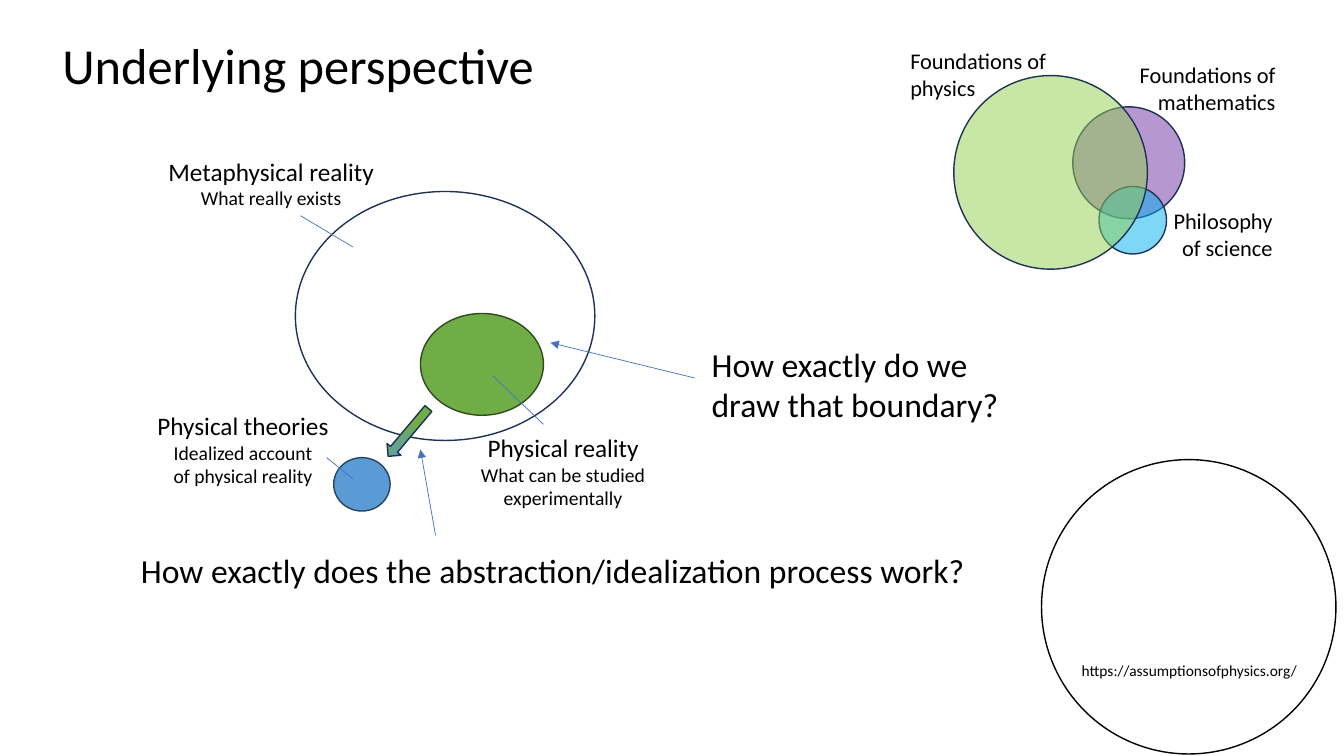
from dataclasses import dataclass

from lxml import etree
from pptx import Presentation
from pptx import util as u
from pptx.dml.color import RGBColor
from pptx.enum import shapes, text
from pptx.oxml.ns import qn


@dataclass(frozen=True)
class Theme:
    """Font, type sizes, line widths and colours of the slide."""
    font: str = "Calibri"
    title: int = 36
    question: int = 24
    heading: int = 18
    field: int = 16
    detail: int = 14
    address: int = 11
    outline: float = 1
    pointer: float = 0.5
    black: str = "000000"
    navy: str = "1E3256"
    accent: str = "4472C4"
    green: str = "70AD47"
    dark_green: str = "314C1F"
    blue: str = "5B9BD5"
    dark_blue: str = "28445D"
    purple: str = "7030A0"
    cyan: str = "00B0F0"
    lime: str = "92D050"


THEME = Theme()
WIDTH, HEIGHT = u.Inches(13.33), u.Inches(7.5)
ROWS = 75
LEFT, CENTER, RIGHT = text.PP_ALIGN.LEFT, text.PP_ALIGN.CENTER, text.PP_ALIGN.RIGHT


def grid(*cells):
    """Turn counts of square grid cells into lengths."""
    return [u.Emu(round(cell * HEIGHT / ROWS)) for cell in cells]


def color(name):
    """Look up a theme colour by name."""
    return RGBColor.from_string(getattr(THEME, name))


def add_outlined(parent, kind, box, line):
    """Add a preset shape without shadow or fill."""
    shape = parent.add_shape(kind, *grid(*box))
    shape.shadow.inherit = False
    shape.fill.background()
    shape.line.color.rgb = color(line)
    shape.line.width = u.Pt(THEME.outline)
    return shape


def add_ellipse(parent, box, line="navy", fill=None, opacity=100):
    """Add an ellipse, filled if a colour is given."""
    shape = add_outlined(parent, shapes.MSO_SHAPE.OVAL, box, line)
    if fill:
        shape.fill.solid()
        shape.fill.fore_color.rgb = color(fill)
    if opacity < 100:
        fill_color = shape.element.spPr.find(qn("a:solidFill"))[0]
        etree.SubElement(fill_color, qn("a:alpha"), val=str(opacity * 1000))


def add_abstraction_arrow(parent, box, rotation):
    """Add the block arrow that fades from physical reality to theory."""
    shape = add_outlined(parent, shapes.MSO_SHAPE.DOWN_ARROW, box, "navy")
    shape.rotation = rotation
    shape.fill.gradient()
    for stop, name in zip(shape.fill.gradient_stops, ("blue", "green")):
        stop.color.rgb = color(name)
    gradient = shape.element.spPr.find(qn("a:gradFill"))
    gradient.remove(gradient.find(qn("a:lin")))
    radial = etree.SubElement(gradient, qn("a:path"), path="circle")
    etree.SubElement(radial, qn("a:fillToRect"),
                     l="50000", t="130000", r="50000", b="-30000")


def add_pointer(parent, start, end, arrow=False):
    """Add a thin line, with an arrowhead at its end if asked."""
    line = parent.add_connector(shapes.MSO_CONNECTOR.STRAIGHT, *grid(*start, *end))
    line.line.color.rgb = color("accent")
    line.line.width = u.Pt(THEME.pointer)
    properties = line.element.spPr
    if arrow:
        etree.SubElement(properties.find(qn("a:ln")), qn("a:tailEnd"), type="triangle")
    etree.SubElement(properties, qn("a:effectLst"))


def add_label(parent, box, *paragraphs, align=LEFT):
    """Add a text box of (wording, size) paragraphs."""
    frame = parent.add_textbox(*grid(*box)).text_frame
    frame.word_wrap = False
    frame.auto_size = text.MSO_AUTO_SIZE.SHAPE_TO_FIT_TEXT
    for index, (wording, size) in enumerate(paragraphs):
        paragraph = frame.add_paragraph() if index else frame.paragraphs[0]
        paragraph.text = wording
        paragraph.alignment = align
        paragraph.font.name = THEME.font
        paragraph.font.size = u.Pt(size)
        paragraph.font.color.rgb = color("black")


def add_concept(parent, box, heading, detail):
    """Add a centred heading with its explanation."""
    add_label(parent, box, (heading, THEME.heading), (detail, THEME.detail), align=CENTER)


def add_reality_diagram(parent):
    """Draw how metaphysical reality, physical reality and theories relate."""
    add_ellipse(parent, (29.3, 19, 29.7, 24.7))
    add_concept(parent, (15.6, 15, 22.6, 6.4), "Metaphysical reality", "What really exists")
    add_ellipse(parent, (41.7, 31.1, 12.2, 10.1), "dark_green", "green")
    add_concept(parent, (46.6, 42.4, 18.5, 8.8), "Physical reality",
                "What can be studied\nexperimentally")
    add_pointer(parent, (48.9, 37.3), (53.9, 42.1))
    add_pointer(parent, (29.8, 21.4), (35, 24.5))
    add_ellipse(parent, (33.1, 45.4, 5.6, 5.3), "dark_blue", "blue")
    add_concept(parent, (14.5, 40.2, 19.2, 8.8), "Physical theories",
                "Idealized account\nof physical reality")
    add_abstraction_arrow(parent, (39.6, 39.8, 1.8, 6.2), 40.1)
    add_pointer(parent, (32.4, 45.4), (35, 47.5))


def add_field_diagram(parent):
    """Draw the overlapping fields of study."""
    for left, top, diameter, fill in ((106.4, 10.6, 11.1, "purple"),
                                      (109, 18.5, 6.7, "cyan"),
                                      (94.6, 7.5, 19.2, "lime")):
        add_ellipse(parent, (left, top, diameter, diameter), fill=fill, opacity=50)
    for left, top, width, wording, align in (
            (89.3, 4.2, 15.7, "Foundations of\nphysics", LEFT),
            (111.8, 5.6, 15.7, "Foundations of\nmathematics", RIGHT),
            (115.2, 20.1, 12, "Philosophy\nof science", RIGHT)):
        add_label(parent, (left, top, width, 6.4), (wording, THEME.field), align=align)


def main():
    """Build and save the slide."""
    presentation = Presentation()
    presentation.slide_width, presentation.slide_height = WIDTH, HEIGHT
    slide = presentation.slides.add_slide(presentation.slide_layouts[6])
    canvas = slide.shapes
    add_ellipse(canvas, (103.3, 45.6, 29.2, 29.2), "black")
    add_label(canvas, (106.3, 65.1, 23.5, 2.9),
              ("https://assumptionsofphysics.org/", THEME.address))
    add_reality_diagram(canvas.add_group_shape().shapes)
    add_field_diagram(canvas.add_group_shape().shapes)
    add_label(canvas, (5.2, 2.9, 49.3, 7.1), ("Underlying perspective", THEME.title))
    add_pointer(canvas, (68.9, 37.5), (54.6, 34), arrow=True)
    add_label(canvas, (69.6, 33.6, 30.7, 9.1),
              ("How exactly do we\ndraw that boundary?", THEME.question))
    add_pointer(canvas, (43.2, 53.1), (41.7, 44.6), arrow=True)
    add_label(canvas, (13, 54.1, 84.5, 5),
              ("How exactly does the abstraction/idealization process work?", THEME.question))
    presentation.save("out.pptx")


if __name__ == "__main__":
    main()
